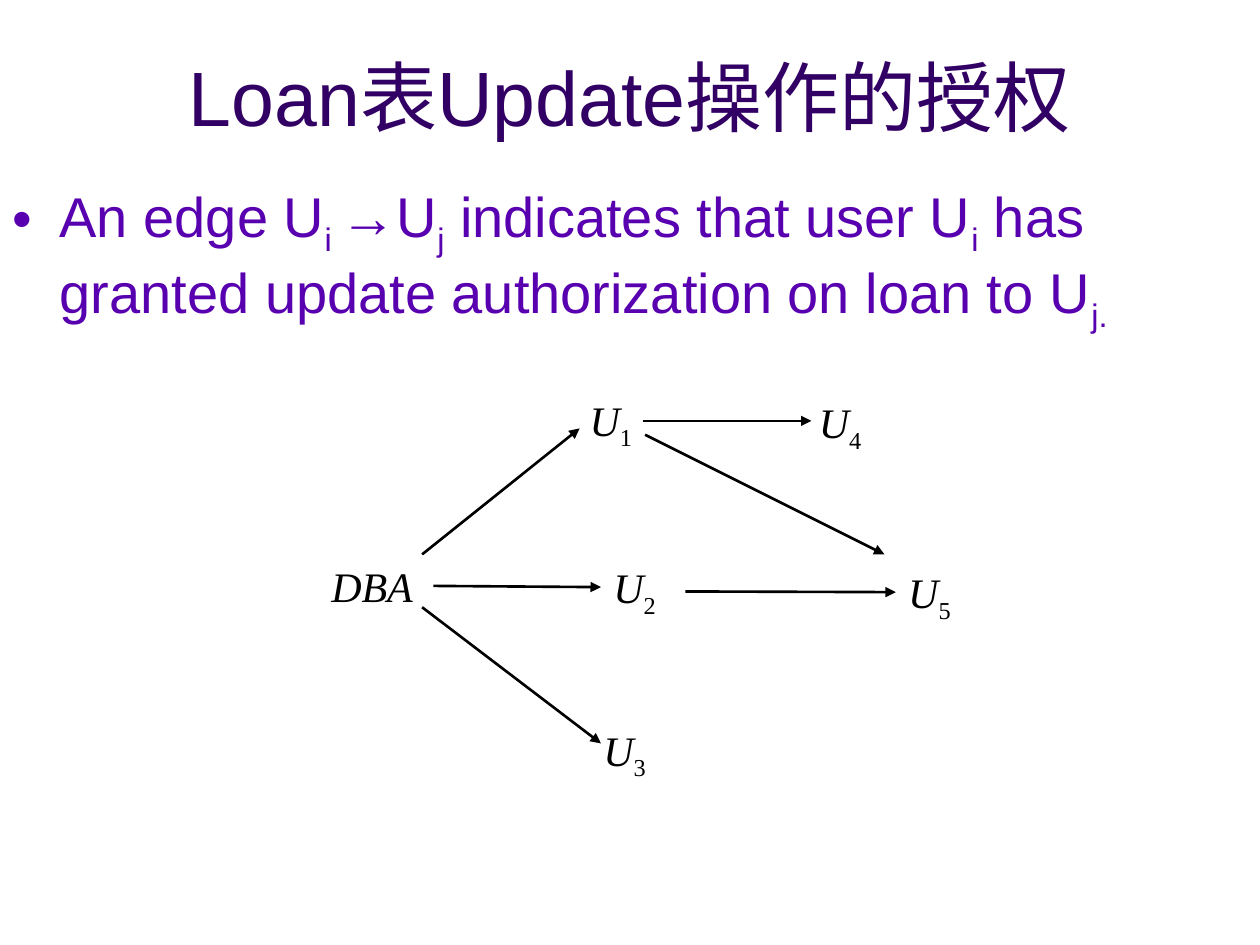
from dataclasses import dataclass

from lxml import etree
from pptx import Presentation
from pptx.dml.color import RGBColor
from pptx.enum import shapes, text
from pptx.oxml.ns import qn
from pptx.util import Pt


@dataclass(frozen=True)
class Theme:
    title_color: RGBColor = RGBColor(0x32, 0x00, 0x64)
    body_color: RGBColor = RGBColor(0x58, 0x00, 0xB0)
    ink: RGBColor = RGBColor(0, 0, 0)
    sans: str = "Arial"
    serif: str = "Times New Roman"
    title_size: int = 44
    body_size: int = 32
    node_size: int = 24
    line_width: float = 1.5


class SlideBuilder:
    def __init__(self, slide, theme):
        self.s, self.theme = slide, theme

    def add_runs(self, p, parts, name, size, color, **extra):
        """Add runs to p; every second part is a subscript and stays upright."""
        for i, part in enumerate(parts):
            r = p.add_run()
            r.text = part
            form = dict(name=name, size=Pt(size), bold=False, **extra)
            if i % 2:
                form["italic"] = False
                r._r.get_or_add_rPr().set("baseline", "-25000")
            for key, value in form.items():
                setattr(r.font, key, value)
            r.font.color.rgb = color

    def title(self, wording, *box):
        sp, t = self.s.shapes.title, self.theme
        sp.left, sp.top, sp.width, sp.height = map(Pt, box)
        tf = sp.text_frame
        tf.vertical_anchor = text.MSO_ANCHOR.MIDDLE
        tf.auto_size = text.MSO_AUTO_SIZE.NONE
        p = tf.paragraphs[0]
        p.alignment = text.PP_ALIGN.CENTER
        self.add_runs(p, [wording], t.sans, t.title_size, t.title_color)

    def bullet(self, parts, *box, indent=27):
        t = self.theme
        tf = self.s.shapes.add_textbox(*map(Pt, box)).text_frame
        tf.word_wrap = True
        p = tf.paragraphs[0]
        pPr = p._p.get_or_add_pPr()
        pPr.set("marL", str(Pt(indent)))
        pPr.set("indent", str(-Pt(indent)))
        etree.SubElement(pPr, qn("a:buFont"), typeface=t.sans)
        etree.SubElement(pPr, qn("a:buChar"), char="•")
        self.add_runs(p, parts, t.sans, t.body_size, t.body_color)

    def node(self, parts, left, top, width=39.6, height=36):
        t = self.theme
        sp = self.s.shapes.add_textbox(*map(Pt, (left, top, width, height)))
        sp.text_frame.word_wrap = False
        sp.text_frame.auto_size = text.MSO_AUTO_SIZE.SHAPE_TO_FIT_TEXT
        self.add_runs(sp.text_frame.paragraphs[0], parts, t.serif, t.node_size,
                      t.ink, italic=True)
        return sp

    def arrow(self, x1, y1, x2, y2, target=None):
        """Draw an arrow, joined to the left side of target if one is given."""
        cx = self.s.shapes.add_connector(
            shapes.MSO_CONNECTOR.STRAIGHT, *map(Pt, (x1, y1, x2, y2)))
        if target is not None:
            cx.end_connect(target, 1)
        cx.line.color.rgb = self.theme.ink
        cx.line.width = Pt(self.theme.line_width)
        spPr = cx._element.spPr
        etree.SubElement(spPr.find(qn("a:ln")), qn("a:tailEnd"), type="triangle")
        etree.SubElement(spPr, qn("a:effectLst"))


def main():
    prs = Presentation()
    prs.slide_width, prs.slide_height = Pt(720), Pt(540)
    b = SlideBuilder(prs.slides.add_slide(prs.slide_layouts[5]), Theme())

    b.title("Loan表Update操作的授权", 36, 9.4, 648, 90)
    b.bullet(["An edge U", "i ", "→U", "j", " indicates that user U", "i",
              " has granted update authorization on loan to U", "j."],
             0, 100, 696, 381)

    b.node(["DBA"], 182.2, 316.8, width=61.2)
    places = {"1": (329.8, 221.8), "2": (343.4, 317.5), "3": (337.7, 410.4),
              "4": (460.8, 223.2), "5": (511.9, 320.4)}
    users = {n: b.node(["U", n], *at) for n, at in places.items()}

    b.arrow(241.2, 316.8, 331.2, 244.8)
    b.arrow(247.7, 334.8, 343.4, 334.8, users["2"])
    b.arrow(241.2, 347, 343.4, 424.8)
    b.arrow(367.2, 240.5, 463.7, 240.5)
    b.arrow(368.6, 248.4, 505.4, 316.8)
    b.arrow(391.7, 338, 511.2, 338, users["5"])

    prs.save("out.pptx")


if __name__ == "__main__":
    main()
